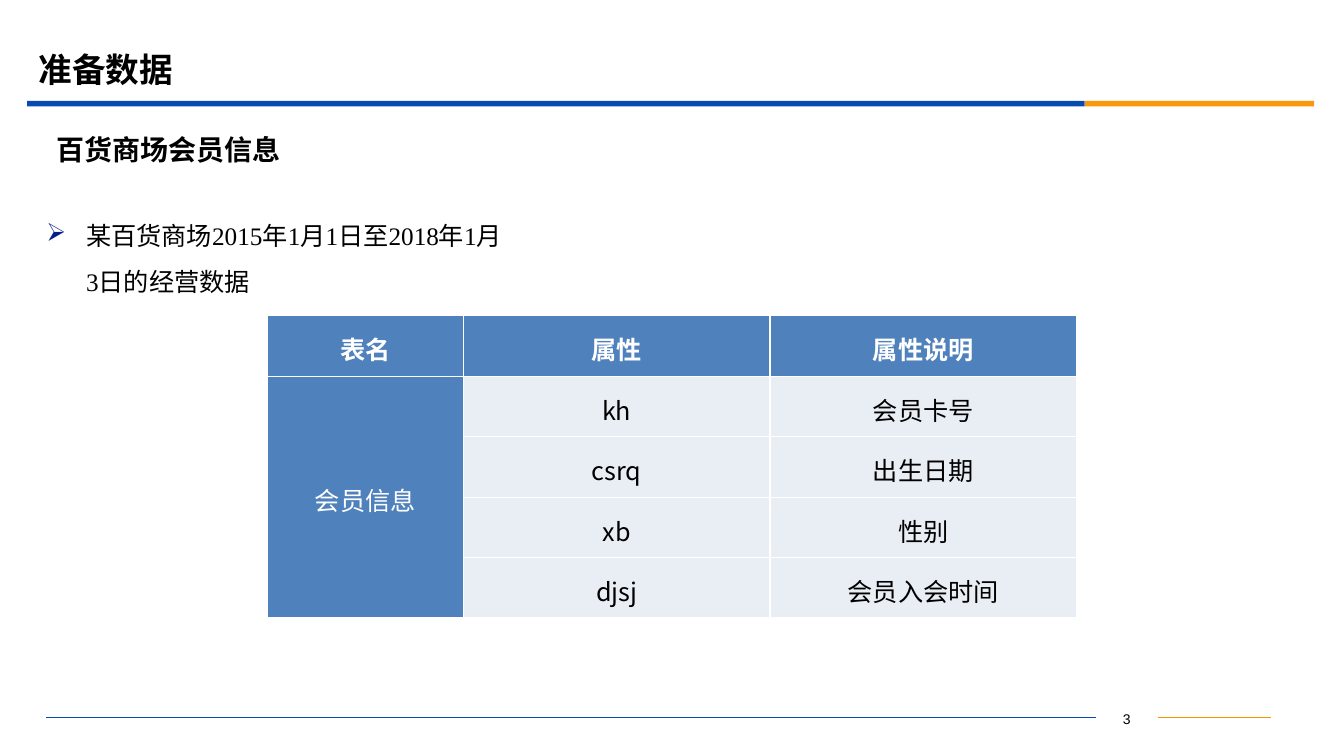
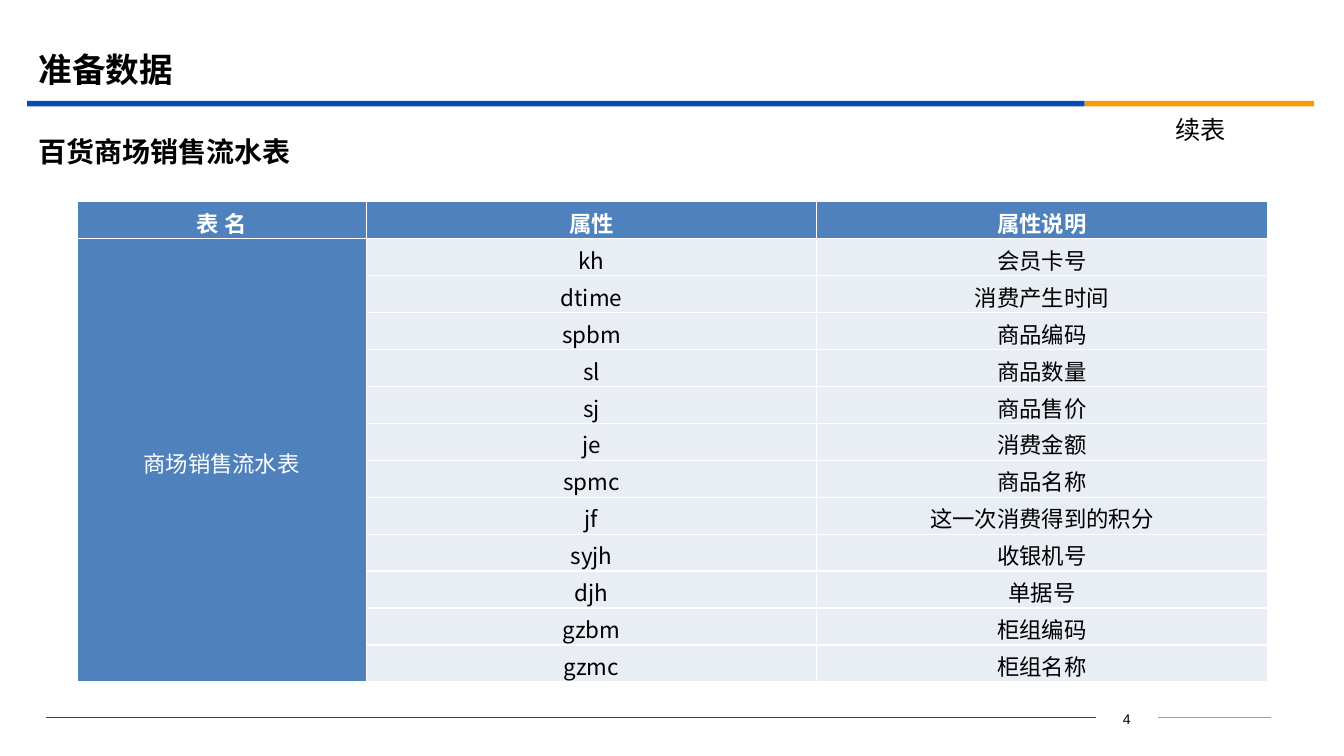
from lxml import etree
from pptx import Presentation
from pptx.dml.color import RGBColor
from pptx.enum.shapes import MSO_CONNECTOR, MSO_SHAPE
from pptx.enum.text import MSO_ANCHOR, PP_ALIGN
from pptx.oxml.ns import qn
from pptx.util import Pt

BLACK = RGBColor(0x00, 0x00, 0x00)
WHITE = RGBColor(0xFF, 0xFF, 0xFF)
BLUE = RGBColor(0x06, 0x4B, 0xB2)
ORANGE = RGBColor(0xFB, 0x97, 0x08)
AMBER = RGBColor(0xF1, 0x95, 0x00)
NAVY = RGBColor(0x03, 0x20, 0x89)
HEADER_BLUE = RGBColor(0x4F, 0x81, 0xBD)
PALE_BLUE = RGBColor(0xE9, 0xED, 0xF4)
SANS, SERIF, LATIN, NUMBER = "Noto Sans CJK SC", "Times New Roman", "Calibri", "Arial"
TOP, MIDDLE = MSO_ANCHOR.TOP, MSO_ANCHOR.MIDDLE
LEFT, CENTER = PP_ALIGN.LEFT, PP_ALIGN.CENTER
RECTANGLE, STRAIGHT = MSO_SHAPE.RECTANGLE, MSO_CONNECTOR.STRAIGHT
LEFT_SIDE, RIGHT_SIDE = 1, 3

MEMBER_ROWS = [
    ("kh", "会员卡号"),
    ("csrq", "出生日期"),
    ("xb", "性别"),
    ("djsj", "会员入会时间"),
]
SALES_ROWS = [
    ("kh", "会员卡号"),
    ("dtime", "消费产生时间"),
    ("spbm", "商品编码"),
    ("sl", "商品数量"),
    ("sj", "商品售价"),
    ("je", "消费金额"),
    ("spmc", "商品名称"),
    ("jf", "这一次消费得到的积分"),
    ("syjh", "收银机号"),
    ("djh", "单据号"),
    ("gzbm", "柜组编码"),
    ("gzmc", "柜组名称"),
]


def format_para(para, size, font=SANS, asian=SANS, color=BLACK, bold=False, align=LEFT):
    """Format every run of a paragraph."""
    para.alignment = align
    for span in para.runs:
        span.font.size, span.font.bold, span.font.name = Pt(size), bold, font
        span.font.color.rgb = color
        east = etree.SubElement(span.font._element, qn("a:ea"))
        east.set("typeface", asian)


def add_text(page, box, text, size, anchor=TOP, **style):
    """Add a one-paragraph text box and return it."""
    shape = page.shapes.add_textbox(*map(Pt, box))
    frame = shape.text_frame
    frame.word_wrap = True
    frame.vertical_anchor = anchor
    frame.text = text
    format_para(frame.paragraphs[0], size, **style)
    return shape


def add_bar(page, box, color):
    """Add a plain filled bar."""
    bar = page.shapes.add_shape(RECTANGLE, *map(Pt, box))
    bar.shadow.inherit = False
    bar.fill.solid()
    bar.fill.fore_color.rgb = color
    bar.line.fill.background()


def add_rule(page, start, end, y, color):
    """Add a thin horizontal line and return it."""
    rule = page.shapes.add_connector(STRAIGHT, Pt(start), Pt(y), Pt(end), Pt(y))
    rule.line.color.rgb = color
    rule.line.width = Pt(0.75)
    etree.SubElement(rule._element.spPr, qn("a:effectLst"))
    return rule


def add_header(page, box, title):
    """Add the title and the two-colour band beneath it."""
    left, top, width, height = box
    add_text(page, (left + 1, top, 864, height - 6), title, 24, MIDDLE, bold=True)
    blue_width = 755.5
    band_top = top + height - 4
    add_bar(page, (left, band_top, blue_width, 4), BLUE)
    add_bar(page, (left + blue_width, band_top, width - blue_width, 4), ORANGE)


def add_footer(page, box, number):
    """Add the page number between two rules."""
    left, top, width, height = box
    number_left, number_width = left + 749.5, 44.6
    number_box = add_text(page, (number_left, top, number_width, height), str(number), 10,
                          font=NUMBER, align=CENTER)
    middle = top + height / 2
    right_rule = add_rule(page, number_left + number_width, left + width, middle, AMBER)
    right_rule.begin_connect(number_box, RIGHT_SIDE)
    left_rule = add_rule(page, left, number_left, middle, BLUE)
    left_rule.end_connect(number_box, LEFT_SIDE)


def add_heading(page, box, text):
    """Add the bold heading of a page."""
    add_text(page, box, text, 20, MIDDLE, bold=True)


def add_bullet(page, box, text):
    """Add a paragraph with an arrow bullet and a hanging indent."""
    shape = add_text(page, box, text, 18, font=SERIF, asian=LATIN)
    para = shape.text_frame.paragraphs[0]
    para.line_spacing = 1.5
    properties = para._p.get_or_add_pPr()
    properties.set("marL", str(Pt(28.5)))
    properties.set("indent", str(Pt(-28.5)))
    color = etree.SubElement(properties, qn("a:buClr"))
    etree.SubElement(color, qn("a:srgbClr")).set("val", str(NAVY))
    etree.SubElement(properties, qn("a:buChar")).set("char", "➢")


def fill_cell(cell, text, size, background, color, bold):
    """Set the text, fill and white borders of a table cell."""
    cell.text = text
    cell.vertical_anchor = MIDDLE
    cell.margin_left = cell.margin_right = Pt(2)
    cell.margin_top = cell.margin_bottom = 0
    para = cell.text_frame.paragraphs[0]
    para.line_spacing = 1.15
    format_para(para, size, color=color, bold=bold, align=CENTER)
    properties = cell._tc.get_or_add_tcPr()
    for side in ("a:lnL", "a:lnR", "a:lnT", "a:lnB"):
        border = etree.SubElement(properties, qn(side), w=str(Pt(1)))
        paint = etree.SubElement(border, qn("a:solidFill"))
        etree.SubElement(paint, qn("a:srgbClr")).set("val", str(WHITE))
    cell.fill.solid()
    cell.fill.fore_color.rgb = background


def add_field_table(page, box, first_width, header, name, fields, size):
    """Add a table of fields whose first column is one merged name."""
    left, top, width, height = box
    rows = [header] + [("", *field) for field in fields]
    rows[1] = (name, *fields[0])
    table = page.shapes.add_table(len(rows), 3, *map(Pt, box)).table
    table.horz_banding = False
    other_width = (width - first_width) / 2
    for column, column_width in zip(table.columns, (first_width, other_width, other_width)):
        column.width = Pt(column_width)
    for row_index, texts in enumerate(rows):
        table.rows[row_index].height = Pt(height / len(rows))
        for column_index, text in enumerate(texts):
            is_header = row_index == 0
            is_dark = is_header or column_index == 0
            fill_cell(table.cell(row_index, column_index), text, size,
                      HEADER_BLUE if is_dark else PALE_BLUE,
                      WHITE if is_dark else BLACK, is_header)
    table.cell(1, 0).merge(table.cell(len(rows) - 1, 0))


def add_page(deck, number):
    """Add a blank page with the shared header and footer."""
    page = deck.slides.add_slide(deck.slide_layouts[6])
    add_footer(page, (33.1, 503.6, 874.8, 18), number)
    add_header(page, (19.4, 28, 919.4, 48), "准备数据")
    return page


def add_member_page(deck):
    """Add the page on member information."""
    page = add_page(deck, 3)
    add_bullet(page, (26, 143.3, 340.6, 341.3), "某百货商场2015年1月1日至2018年1月3日的经营数据")
    add_heading(page, (33.1, 89.3, 874.8, 34), "百货商场会员信息")
    add_field_table(page, (191, 225.5, 578, 216), 140, ("表名", "属性", "属性说明"),
                    "会员信息", MEMBER_ROWS, 18)


def add_sales_page(deck):
    """Add the page on the sales journal."""
    page = add_page(deck, 4)
    add_field_table(page, (55, 144, 850.2, 343.2), 206.6, ("表 名", "属性", "属性说明"),
                    "商场销售流水表", SALES_ROWS, 16)
    add_text(page, (832.3, 77.8, 61.2, 28.8), "续表", 18, font=LATIN, asian=LATIN)
    add_heading(page, (20.4, 92.2, 197.3, 31.7), "百货商场销售流水表")


def main():
    """Build and save the deck."""
    deck = Presentation()
    deck.slide_width, deck.slide_height = Pt(960), Pt(540)
    add_member_page(deck)
    add_sales_page(deck)
    deck.save("out.pptx")


if __name__ == "__main__":
    main()
